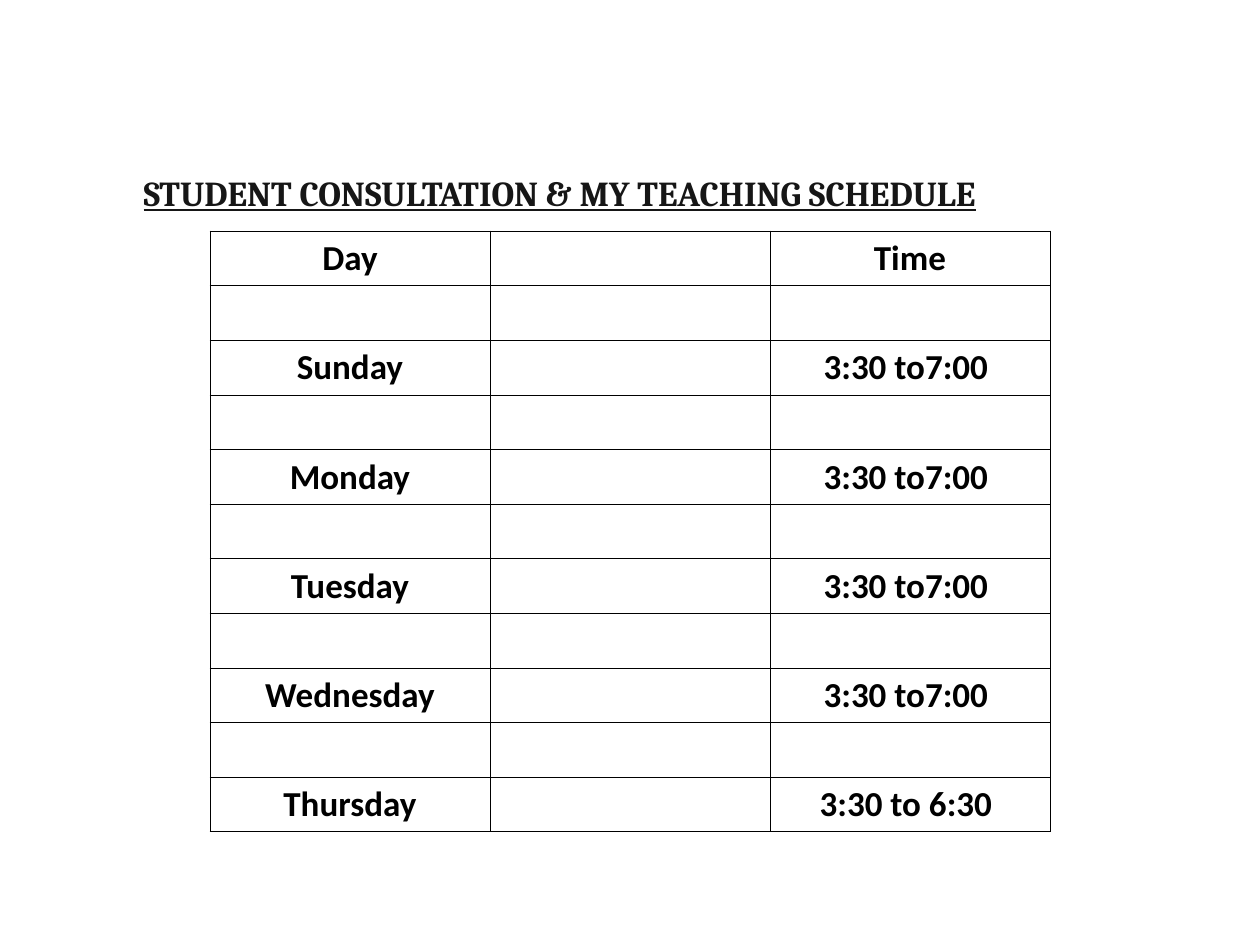
from pptx import Presentation
from pptx.dml.color import RGBColor as Rgb
from pptx.enum.text import MSO_ANCHOR as Anchor, PP_ALIGN as Align
from pptx.oxml import parse_xml
from pptx.oxml.ns import nsdecls
from pptx.util import Pt

DAYS = ["Sunday", "Monday", "Tuesday", "Wednesday", "Thursday"]
TIMES = ["3:30 to7:00 "] * 4 + ["3:30 to 6:30 "]
COL, ROW = 160, 31.2


def style(para, face, color, line=False):
    for run in para.runs:
        font = run.font
        font.name, font.size, font.bold = face, Pt(20), True
        font.underline = line
        font.color.rgb = Rgb.from_string(color)


def add_title(slide, text):
    box = slide.shapes.add_textbox(Pt(75), Pt(94.5), Pt(574), Pt(55))
    frame = box.text_frame
    frame.word_wrap = True
    frame.text = text
    style(frame.paragraphs[0], "Cambria", "161616", True)


def add_edges(cell, color, width):
    props = cell._tc.get_or_add_tcPr()
    for side in "LRTB":
        props.append(parse_xml(
            f'<a:ln{side} {nsdecls("a")} w="{int(Pt(width))}"><a:solidFill>'
            f'<a:srgbClr val="{color}"/></a:solidFill></a:ln{side}>'))


def fill_cell(cell, text):
    add_edges(cell, "000000", 0.45)
    cell.fill.background()
    cell.vertical_anchor = Anchor.MIDDLE
    cell.margin_left = cell.margin_right = Pt(0.7)
    cell.margin_top = cell.margin_bottom = Pt(3.6)
    if text:
        cell.text_frame.text = text
        para = cell.text_frame.paragraphs[0]
        para.alignment = Align.CENTER
        style(para, "Calibri", "000000")


def add_grid(slide, rows):
    count = len(rows)
    grid = slide.shapes.add_table(
        count, 3, Pt(120), Pt(132), Pt(3 * COL), Pt(count * ROW)).table
    grid.first_row = grid.horz_banding = False
    for col in grid.columns:
        col.width = Pt(COL)
    for r, texts in enumerate(rows):
        grid.rows[r].height = Pt(ROW)
        for c, text in enumerate(texts):
            fill_cell(grid.cell(r, c), text)


def main():
    deck = Presentation()
    deck.slide_width, deck.slide_height = Pt(720), Pt(540)
    slide = deck.slides.add_slide(deck.slide_layouts[6])

    # Heading
    add_title(slide, "STUDENT CONSULTATION & MY TEACHING SCHEDULE")

    # Schedule, with an empty row before each day
    rows = [("Day", "", "Time")]
    for day, time in zip(DAYS, TIMES):
        rows += [("", "", ""), (day, "", time)]
    add_grid(slide, rows)

    deck.save("out.pptx")


main()
